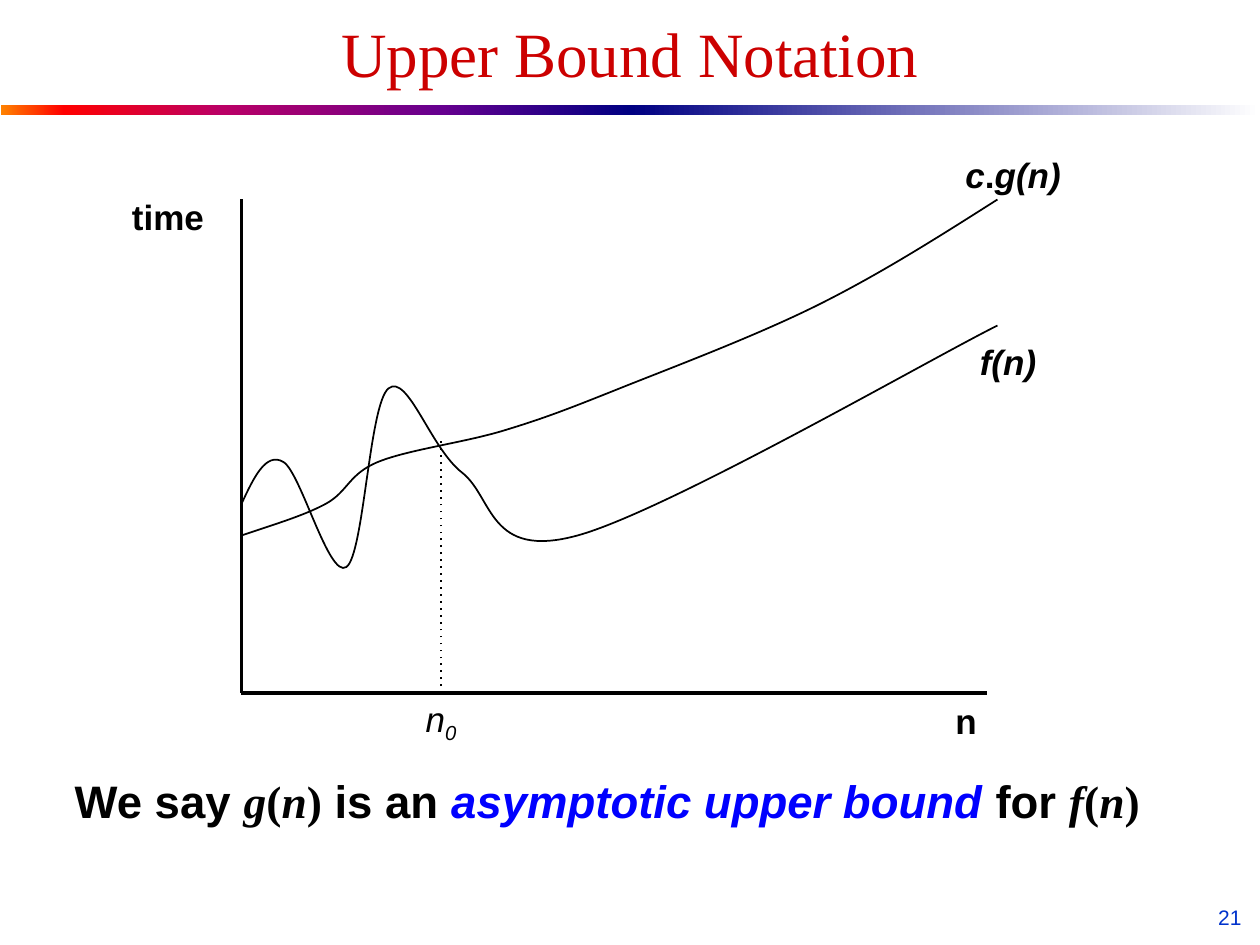
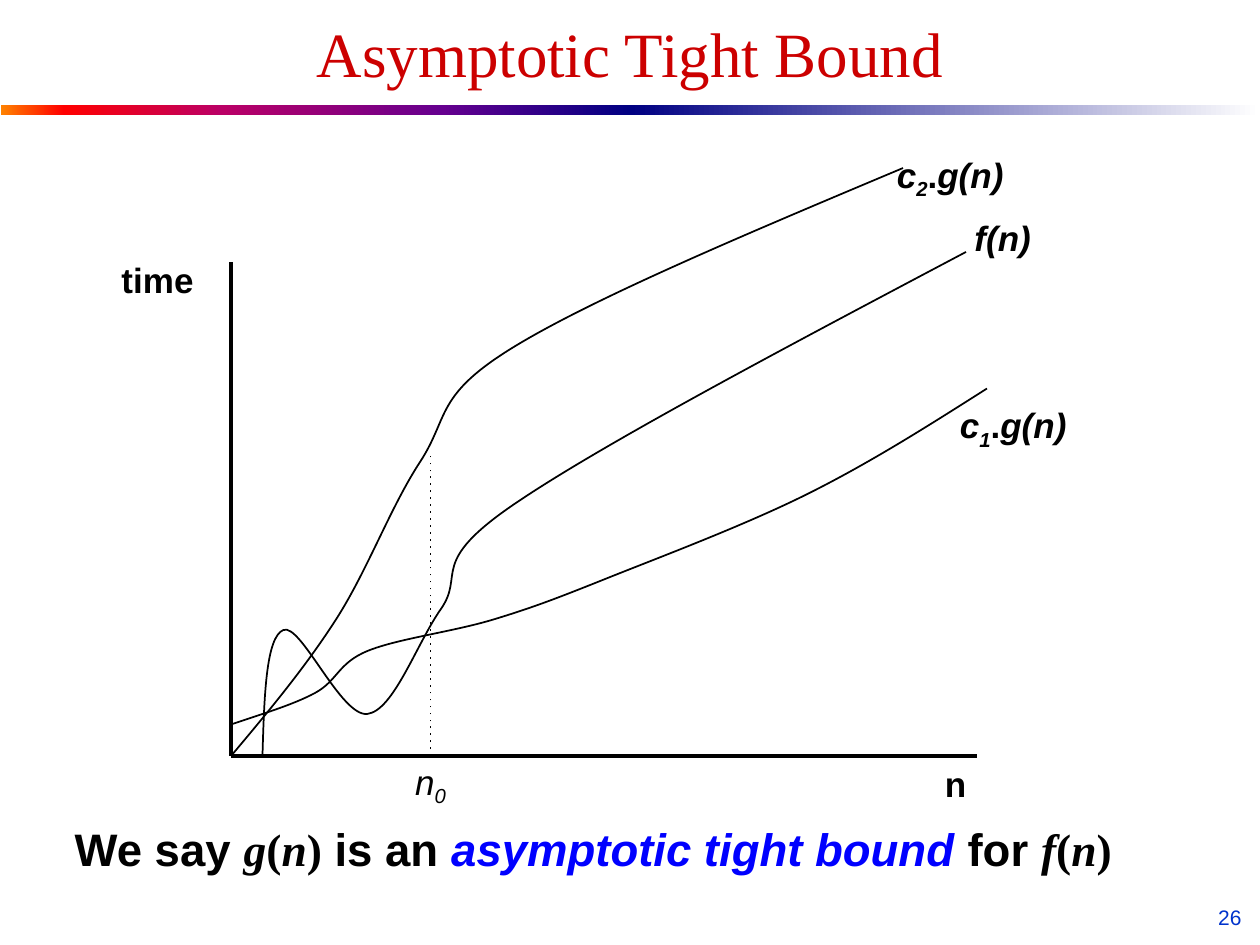
from copy import deepcopy
from lxml.etree import SubElement
from pptx import Presentation
from pptx.dml.color import RGBColor
from pptx.enum.dml import MSO_LINE_DASH_STYLE as Dash
from pptx.enum.shapes import MSO_CONNECTOR as Link, MSO_SHAPE as Shape
from pptx.enum.text import MSO_ANCHOR as Anchor, PP_ALIGN as Align
from pptx.oxml.ns import qn
from pptx.util import Pt

BLACK = RGBColor(0x00, 0x00, 0x00)
WHITE = RGBColor(0xFF, 0xFF, 0xFF)
RED = RGBColor(0xCC, 0x00, 0x00)
BLUE = RGBColor(0x00, 0x00, 0xFF)
PAGE = RGBColor(0x00, 0x33, 0xCC)
NAVY = RGBColor(0x00, 0x00, 0x82)
WARM = [(0, RGBColor(0xFF, 0x82, 0x00)), (0.1, RGBColor(0xFF, 0x00, 0x00)),
        (0.35, RGBColor(0xBA, 0x00, 0x66)), (0.7, RGBColor(0x66, 0x00, 0x8F)),
        (1, NAVY)]
COOL = [(0, NAVY), (1, WHITE)]

SANS = dict(name="Arial", bold=False, italic=False)
BOLD = SANS | dict(bold=True)
SLANT = BOLD | dict(italic=True)
THIN = SANS | dict(italic=True)
SERIF = BOLD | dict(name="Times New Roman")
MATH = SERIF | dict(italic=True)
KEY = SLANT | dict(color=BLUE)
TITLE = SERIF | dict(bold=False, color=RED)
SUB = dict(sub=True)

TIGHT = [("c", SLANT), (".", BOLD), ("g(n)", SLANT)]
FUNC = [("f(n)", SLANT)]

RISE = [(0, 0), (17.5, 6), (35, 11), (48, 18), (61, 25), (61, 35), (78, 42),
        (95, 49), (127, 53), (150, 60), (173, 67), (186, 72), (216, 84),
        (246, 96), (294, 114), (330, 132), (366, 150), (399, 171), (432, 192)]
WAVE = [(0, 108), (7, 123), (14, 138), (24, 132), (34, 126), (50, 65),
        (60, 72), (70, 79), (73, 165), (84, 174), (95, 183), (108, 140),
        (126, 126), (144, 112), (141, 76), (192, 90), (243, 104), (392, 190),
        (432, 210)]
HUMP = [(18, 0), (19, 34), (20, 68), (30, 72), (40, 76), (63, 22), (78, 24),
        (93, 26), (106, 64), (120, 84), (134, 104), (112, 110), (162, 144),
        (212, 178), (316, 233), (420, 288)]
STEEP = [(0, 0), (21, 25), (42, 50), (60, 78), (78, 106), (91, 142),
         (108, 168), (125, 194), (116, 206), (162, 234), (208, 262),
         (296, 299), (384, 336)]


def lift(curve, rise):
    """Raise each point of a curve."""
    return [(x, y + rise) for x, y in curve]


def scaled(num):
    """Return the label of g(n) times a numbered constant."""
    return [TIGHT[0], (num, SLANT | SUB), *TIGHT[1:]]


def style(item, values):
    """Set attributes from a dict."""
    for key, value in values.items():
        setattr(item, key, value)


def write(slide, box, runs, size, align=Align.CENTER, wrap=False,
          anchor=Anchor.TOP):
    """Add a text box with styled runs."""
    frame = slide.shapes.add_textbox(*map(Pt, box)).text_frame
    style(frame, dict(word_wrap=wrap, vertical_anchor=anchor))
    para = frame.paragraphs[0]
    para.alignment = align
    for text, look in runs:
        look = dict(look)
        run = para.add_run()
        run.text = text
        run.font.color.rgb = look.pop("color", BLACK)
        if look.pop("sub", False):
            run._r.get_or_add_rPr().set("baseline", "-25000")
        style(run.font, look | dict(size=Pt(size)))


def band(slide, box, stops):
    """Add a bar with a level gradient."""
    bar = slide.shapes.add_shape(Shape.RECTANGLE, *map(Pt, box))
    bar.shadow.inherit = False
    bar.line.fill.background()
    bar.fill.gradient()
    bar.fill.gradient_angle = 0
    group = bar._element.spPr.find(".//" + qn("a:gsLst"))
    for _ in stops[2:]:
        group.append(deepcopy(group[0]))
    for stop, (place, color) in zip(bar.fill.gradient_stops, stops):
        stop.position = place
        stop.color.rgb = color


def frame(slide, title, page):
    """Add the title, bands and page number."""
    band(slide, (0.5, 60, 360, 6), WARM)
    band(slide, (360, 60, 360, 6), COOL)
    write(slide, (548.5, 513.4, 168, 19.4), [(page, SANS | dict(color=PAGE))],
          12, Align.RIGHT, True)
    write(slide, (36, 12, 648, 36), [(title, TITLE)], 36, wrap=True,
          anchor=Anchor.MIDDLE)


def rule(slide, start, end, width, dotted=False):
    """Add a straight black line."""
    link = slide.shapes.add_connector(Link.STRAIGHT, *map(Pt, start + end))
    link.line.color.rgb = BLACK
    link.line.width = Pt(width)
    if dotted:
        link.line.dash_style = Dash.ROUND_DOT
        link._element.spPr.find(".//" + qn("a:prstDash")).set("val", "dot")
    SubElement(link._element.spPr, qn("a:effectLst"))


def trace(slide, knots):
    """Draw a chain of cubic curves as an open outline."""
    points = [(Pt(x), Pt(y)) for x, y in knots]
    pen = slide.shapes.build_freeform(*points[0])
    pen.add_line_segments(points[1:], close=False)
    curve = pen.convert_to_shape()
    route = curve._element.spPr.find(".//" + qn("a:path"))
    legs = route.findall(qn("a:lnTo"))
    for i in range(0, len(legs), 3):
        bend = SubElement(route, qn("a:cubicBezTo"))
        for leg in legs[i:i + 3]:
            bend.append(leg[0])
            route.remove(leg)
    curve.shadow.inherit = False
    curve.fill.background()
    curve.line.color.rgb = BLACK
    curve.line.width = Pt(1)


def plot(slide, left, base, mark, curves, labels):
    """Draw axes, the n0 mark, curves and labels from an origin."""
    def at(x, y):
        return left + x, base - y

    rule(slide, at(0, 282), at(0, 0), 2)
    rule(slide, at(0, 0), at(426, 0), 2)
    rule(slide, at(114, 0), at(114, mark), 1, True)
    for curve in curves:
        trace(slide, [at(*point) for point in curve])
    names = [(-72, 288, 60, [("time", BOLD)]), (384, 0, 60, [("n", BOLD)]),
             (84, 1.2, 60, [("n", THIN), ("0", THIN | SUB)])]
    for x, y, wide, runs in names + labels:
        write(slide, (*at(x, y), wide, 31), runs, 20)


def claim(slide, top, wide, term):
    """Add the closing sentence."""
    def call(name):
        return [(name, MATH), ("(", SERIF), ("n", MATH), (")", SERIF)]

    runs = [("We say ", BOLD), *call("g"), (" is an ", BOLD), (term, KEY),
            (" for ", BOLD), *call("f")]
    write(slide, (35.6, top, wide, 38), runs, 26, Align.LEFT)


def upper(slide):
    """Build the upper bound slide."""
    frame(slide, "Upper Bound Notation", "21")
    plot(slide, 138, 396, 144, [WAVE, lift(RISE, 90)],
         [(408, 205, 60, FUNC), (402, 312, 78, TIGHT)])
    claim(slide, 438, 623, "asymptotic upper bound")


def tight(slide):
    """Build the tight bound slide."""
    frame(slide, "Asymptotic Tight Bound", "26")
    plot(slide, 132, 432, 174, [lift(RISE, 18), HUMP, STEEP],
         [(408, 205, 78, scaled("1")), (402, 312, 78, FUNC),
          (372, 348, 78, scaled("2"))])
    claim(slide, 465.6, 607, "asymptotic tight bound")


def main():
    """Build and save the deck."""
    deck = Presentation()
    style(deck, dict(slide_width=Pt(720), slide_height=Pt(540)))
    for build in (upper, tight):
        build(deck.slides.add_slide(deck.slide_layouts[6]))
    deck.save("out.pptx")


if __name__ == "__main__":
    main()
